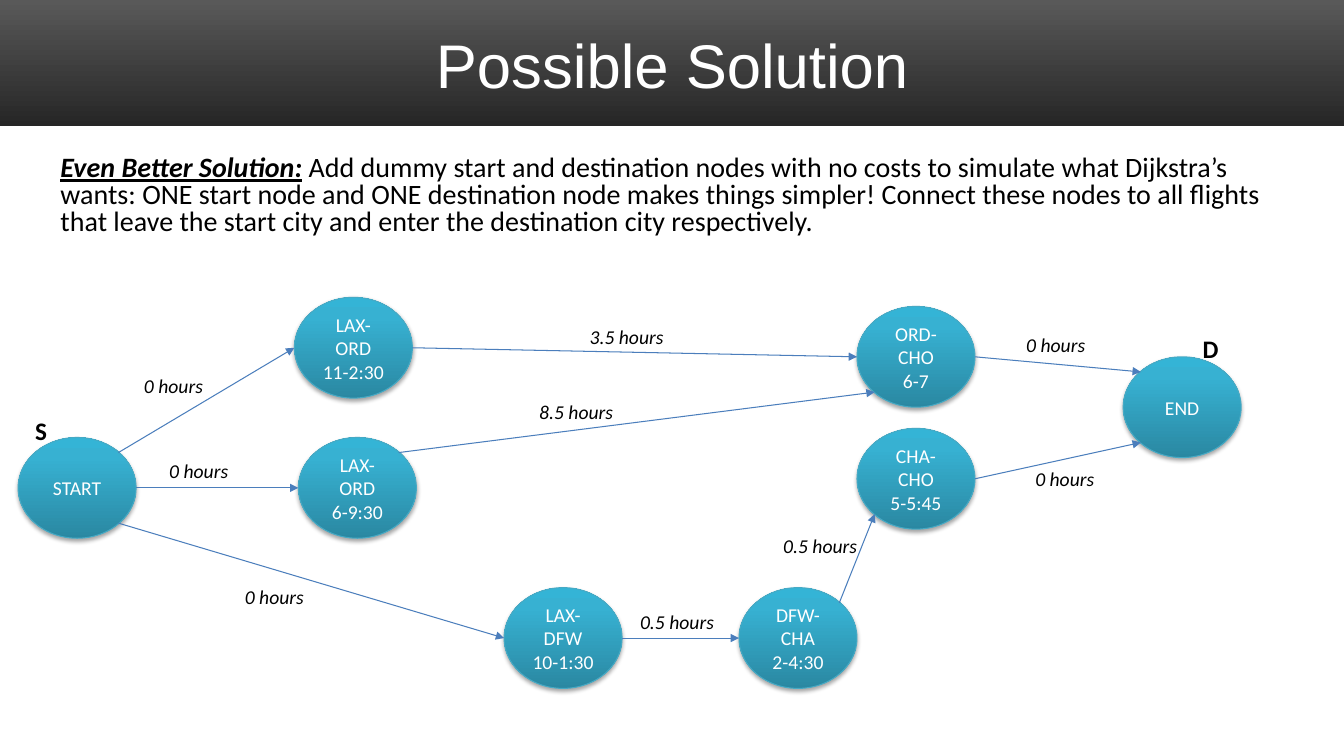
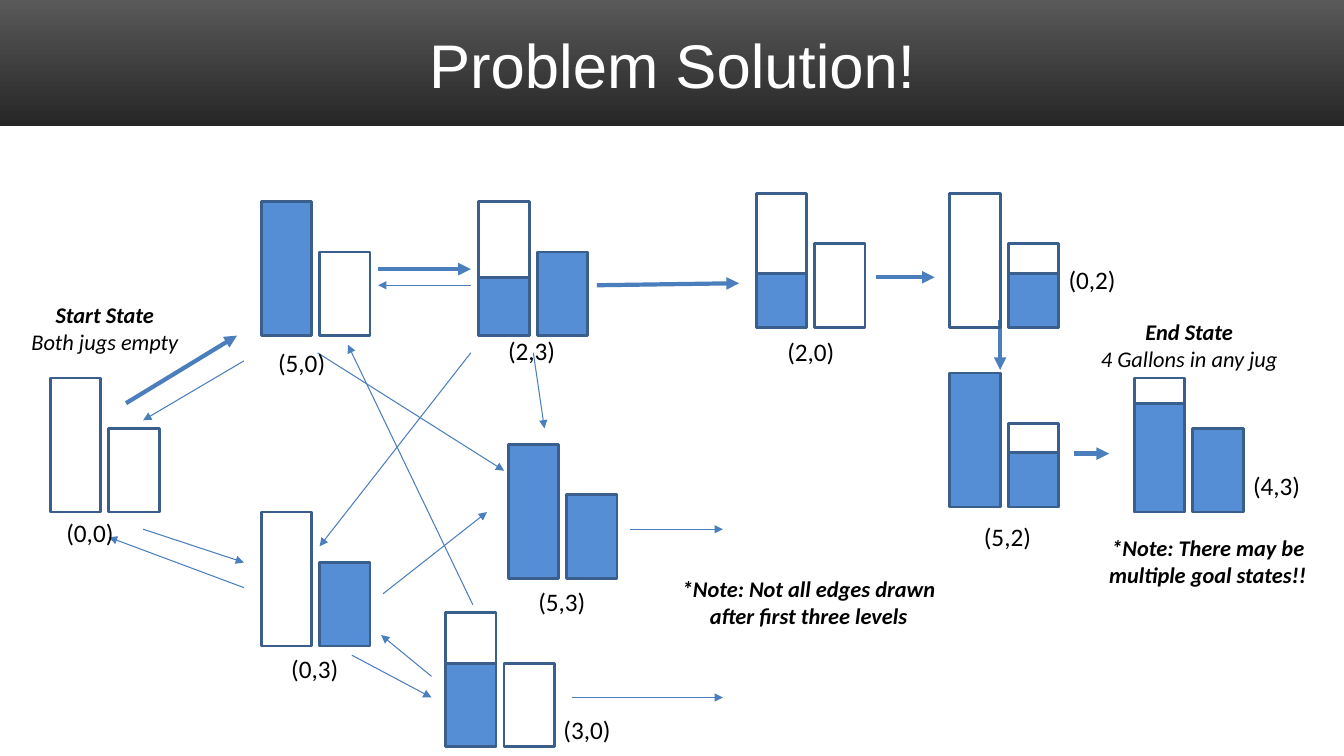
import dataclasses

import lxml.etree
import pptx
import pptx.dml.color
import pptx.enum.shapes
import pptx.enum.text
import pptx.oxml.ns
import pptx.util

Inches = pptx.util.Inches
Pt = pptx.util.Pt
qn = pptx.oxml.ns.qn
Shape = pptx.enum.shapes.MSO_SHAPE
Align = pptx.enum.text.PP_ALIGN
Anchor = pptx.enum.text.MSO_ANCHOR
Fit = pptx.enum.text.MSO_AUTO_SIZE


@dataclasses.dataclass(frozen=True)
class Theme:
    head: str = "Arial"
    text: str = "Calibri"
    black: str = "000000"
    white: str = "FFFFFF"
    edge: str = "4B7EBC"
    rim: str = "46AAC5"
    wall: str = "3A5F8C"
    water: str = "558ED5"
    band: tuple = ((0, "595959"), (100, "262626"))
    node: tuple = ((0, "2A88A2"), (80, "37B1D2"), (100, "34B4D6"))
    title: int = 44
    body: int = 20
    mark: int = 18
    note: int = 16
    small: int = 14
    thin: float = 0.75
    thick: float = 3
    glass: float = 2


T = Theme()
WIDE, HIGH, BAND = 13.33, 7.5, 1.25
AREA = (0, BAND, WIDE, HIGH - BAND)


# Shared helpers
def rgb(code):
    return pptx.dml.color.RGBColor.from_string(code)


def place(item, left, top, width, height):
    item.left, item.top = Inches(left), Inches(top)
    item.width, item.height = Inches(width), Inches(height)


def style(run, size, color=T.black, face=T.text, bold=False, slant=False):
    font = run.font
    font.name, font.size, font.color.rgb = face, Pt(size), rgb(color)
    font.bold, font.italic = bold, slant


def add_child(parent, tag, **attrs):
    child = lxml.etree.SubElement(parent, qn(tag))
    for key, value in attrs.items():
        child.set(key, str(value))
    return child


def add_shape(slide, kind, left, top, width, height):
    shape = slide.shapes.add_shape(
        kind, Inches(left), Inches(top), Inches(width), Inches(height))
    shape.shadow.inherit = False
    shape.fill.background()
    return shape


def blend(shape, stops, angle):
    """Fill with a gradient; the angle runs clockwise from the left."""
    props = shape.element.spPr
    grad = lxml.etree.Element(qn("a:gradFill"), rotWithShape="1")
    chain = add_child(grad, "a:gsLst")
    for spot, color in stops:
        stop = add_child(chain, "a:gs", pos=spot * 1000)
        add_child(stop, "a:srgbClr", val=color)
    add_child(grad, "a:lin", ang=angle * 60000, scaled=0)
    props.replace(props.find(qn("a:noFill")), grad)


def add_arrow(slide, start, end, weight=T.thin):
    line = slide.shapes.add_connector(
        pptx.enum.shapes.MSO_CONNECTOR.STRAIGHT,
        *[Inches(v) for v in (*start, *end)])
    line.line.color.rgb = rgb(T.edge)
    line.line.width = Pt(weight)
    props = line.element.spPr
    add_child(props.find(qn("a:ln")), "a:tailEnd", type="triangle")
    add_child(props, "a:effectLst")


def add_label(slide, text, left, top, width, height, size,
              align=Align.LEFT, bold=False, slant=False):
    box = slide.shapes.add_textbox(
        Inches(left), Inches(top), Inches(width), Inches(height))
    frame = box.text_frame
    frame.word_wrap = True
    frame.auto_size = Fit.SHAPE_TO_FIT_TEXT
    frame.text = text
    for para in frame.paragraphs:
        para.alignment = align
        for run in para.runs:
            style(run, size, bold=bold, slant=slant)
    return frame


# Band and title
def add_band(deck, slide):
    band = add_shape(slide, Shape.RECTANGLE, 0, 0, WIDE, BAND)
    band.line.fill.background()
    blend(band, T.band, 90)
    deck.slide_master.shapes._spTree.insert(2, band.element)


def add_title(slide, text):
    title = slide.shapes.title
    place(title, 0.67, 0.17, 12, 0.92)
    frame = title.text_frame
    frame.text = text
    frame.auto_size = Fit.NONE
    frame.vertical_anchor = Anchor.MIDDLE
    para = frame.paragraphs[0]
    para.alignment = Align.CENTER
    style(para.runs[0], T.title, T.white, T.head)


# Lead paragraph
def add_lead(slide, box, lead, rest):
    body = slide.placeholders[1]
    place(body, *box)
    frame = body.text_frame
    frame.text = lead
    frame.auto_size = Fit.NONE
    para = frame.paragraphs[0]
    props = para._p.get_or_add_pPr()
    props.set("marL", "0")
    props.set("indent", "0")
    add_child(props, "a:buNone")
    para.line_spacing = 0.8
    para.space_before = Pt(0)
    style(para.runs[0], T.body, bold=True, slant=True)
    para.runs[0].font.underline = True
    tail = para.add_run()
    tail.text = rest
    style(tail, T.body)


# Flight graph
NODE_W, NODE_H = 1.17, 1
SIDES = {"left": (0, 0.5), "right": (1, 0.5), "upper left": (0.15, 0.15),
         "upper right": (0.85, 0.15), "lower left": (0.15, 0.85),
         "lower right": (0.85, 0.85)}
NODES = {
    "early": ("LAX-ORD\n11-2:30", 2.92, 1.7),
    "late": ("LAX-ORD\n6-9:30", 2.96, 3.09),
    "south": ("DFW-CHA\n2-4:30", 7.33, 4.58),
    "north": ("ORD-CHO\n6-7", 8.5, 1.79),
    "east": ("CHA-CHO\n5-5:45", 8.5, 3),
    "west": ("LAX-DFW\n10-1:30", 5, 4.58),
    "start": ("START", 0.18, 3.09),
    "end": ("END", 11.14, 2.29),
}
# From node and side, to node and side, hours and label place
EDGES = [
    ("early", "right", "north", "left", "3.5", 5.75, 1.92),
    ("late", "upper right", "north", "lower left", "8.5", 5.25, 2.67),
    ("south", "upper right", "east", "lower left", "0.5", 7.67, 4),
    ("west", "right", "south", "left", "0.5", 6.25, 4.75),
    ("start", "upper right", "early", "left", "0", 1.33, 2.41),
    ("start", "right", "late", "left", "0", 1.58, 3.25),
    ("start", "lower right", "west", "left", "0", 2.33, 4.5),
    ("north", "right", "end", "upper left", "0", 10.08, 2),
    ("east", "right", "end", "lower left", "0", 10.17, 3.33),
]


def add_node(slide, text, left, top):
    node = add_shape(slide, Shape.OVAL, left, top, NODE_W, NODE_H)
    blend(node, T.node, 270)
    node.line.color.rgb = rgb(T.rim)
    node.line.width = Pt(T.thin)
    # Soft shadow below the node
    glow = add_child(node.element.spPr.find(qn("a:effectLst")),
                     "a:outerShdw", blurRad=Pt(3.1), dist=Pt(1.8),
                     dir=5400000, rotWithShape=0)
    color = add_child(glow, "a:srgbClr", val=T.black)
    add_child(color, "a:alpha", val=35000)
    frame = node.text_frame
    frame.word_wrap = True
    frame.vertical_anchor = Anchor.MIDDLE
    frame.text = text
    for para in frame.paragraphs:
        para.alignment = Align.CENTER
        style(para.runs[0], T.small, T.white)


def add_graph(slide, box):
    x, y = box[:2]

    def port(name, side):
        _, left, top = NODES[name]
        across, down = SIDES[side]
        return x + left + across * NODE_W, y + top + down * NODE_H

    for text, left, top in NODES.values():
        add_node(slide, text, x + left, y + top)
    for first, out, last, into, hours, left, top in EDGES:
        add_arrow(slide, port(first, out), port(last, into))
        add_label(slide, f"{hours} hours", x + left, y + top, 1.34, 0.34,
                  T.small, slant=True)
    for text, left, top in (("S", 0.25, 2.82), ("D", 11.83, 2.01)):
        add_label(slide, text, x + left, y + top, 0.42, 0.4, T.mark,
                  bold=True)


# Jug states
JUG_W, TALL, SHORT, STEP = 0.5, 1.33, 0.83, 0.58
# Name, place, water heights of the two jugs, label place
STATES = [
    ("(0,0)", 0.5, 2.5, 0, 0, 0.56, 3.83),
    ("(5,0)", 2.59, 0.75, TALL, 0, 2.66, 2.15),
    ("(0,3)", 2.59, 3.83, 0, SHORT, 2.79, 5.18),
    ("(2,3)", 4.75, 0.75, 0.58, SHORT, 4.94, 2.03),
    ("(5,3)", 5.04, 3.16, TALL, SHORT, 5.24, 4.52),
    ("(3,0)", 4.42, 4.83, 0.83, 0, 5.49, 5.79),
    ("(2,0)", 7.5, 0.67, 0.54, 0, 7.71, 2.04),
    ("(0,2)", 9.42, 0.67, 0, 0.54, 10.5, 1.32),
    ("(5,2)", 9.42, 2.45, TALL, 0.54, 9.66, 3.87),
    ("(4,3)", 11.25, 2.5, 1.08, SHORT, 12.33, 3.37),
]
# Start and end of each move
MOVES = {
    T.thin: [
        (1.42, 4, 2.42, 4.33), (2.42, 2.33, 1.42, 2.92),
        (2.42, 4.58, 1.08, 4.08), (4.67, 1.58, 3.75, 1.58),
        (4.67, 2.25, 3.17, 4.17), (5.29, 2.25, 5.4, 3),
        (3.8, 4.64, 4.83, 3.83), (3.15, 2.25, 5, 3.42),
        (3.49, 5.25, 4.28, 5.67), (4.28, 5.46, 3.78, 5.05),
        (4.69, 4.75, 3.45, 2.17), (6.25, 4, 7.17, 4),
        (5.67, 5.67, 7.17, 5.67)],
    T.thick: [
        (1.25, 2.75, 2.35, 2.08), (3.75, 1.42, 4.67, 1.42),
        (5.92, 1.58, 7.33, 1.56), (8.69, 1.5, 9.27, 1.5),
        (9.92, 1.92, 9.92, 2.42), (10.65, 3.25, 11, 3.25)],
}
NOTES = [
    ("Start State\nBoth jugs empty", 0.08, 1.69, 1.92),
    ("End State\n4 Gallons in any jug", 10.75, 1.86, 2.09),
    ("*Note: There may be multiple goal states!!", 10.75, 4, 2.46),
    ("*Note: Not all edges drawn after first three levels",
     6.55, 4.41, 2.94),
]


def add_jug(slide, left, top, height, level):
    parts = [(height, False)] if level < height else []
    if level:
        parts.append((level, True))
    for tall, wet in parts:
        part = add_shape(slide, Shape.RECTANGLE, left, top + height - tall,
                         JUG_W, tall)
        part.line.color.rgb = rgb(T.wall)
        part.line.width = Pt(T.glass)
        if wet:
            part.fill.solid()
            part.fill.fore_color.rgb = rgb(T.water)


def add_states(slide, box):
    x, y = box[:2]
    for weight, moves in MOVES.items():
        for x1, y1, x2, y2 in moves:
            add_arrow(slide, (x + x1, y + y1), (x + x2, y + y2), weight)
    for name, left, top, big, small, across, down in STATES:
        add_jug(slide, x + left, y + top, TALL, big)
        add_jug(slide, x + left + STEP, y + top + TALL - SHORT, SHORT, small)
        add_label(slide, name, x + across, y + down, 0.91, 0.4, T.mark)
    for text, left, top, width in NOTES:
        frame = add_label(slide, text, x + left, y + top, width, 0.64,
                          T.note, Align.CENTER, True, True)
        for para in frame.paragraphs[1:]:
            para.runs[0].font.bold = False


def main():
    deck = pptx.Presentation()
    deck.slide_width, deck.slide_height = Inches(WIDE), Inches(HIGH)

    # Flights
    slide = deck.slides.add_slide(deck.slide_layouts[1])
    add_band(deck, slide)
    add_title(slide, "Possible Solution")
    add_lead(slide, (0.5, 1.5, 12.17, 0.98), "Even Better Solution:",
             " Add dummy start and destination nodes with no costs to "
             "simulate what Dijkstra’s wants: ONE start node and ONE "
             "destination node makes things simpler! Connect these nodes to "
             "all flights that leave the start city and enter the "
             "destination city respectively.")
    add_graph(slide, AREA)

    # Jugs
    slide = deck.slides.add_slide(deck.slide_layouts[5])
    add_title(slide, "Problem Solution!")
    add_states(slide, AREA)

    deck.save("out.pptx")


if __name__ == "__main__":
    main()
